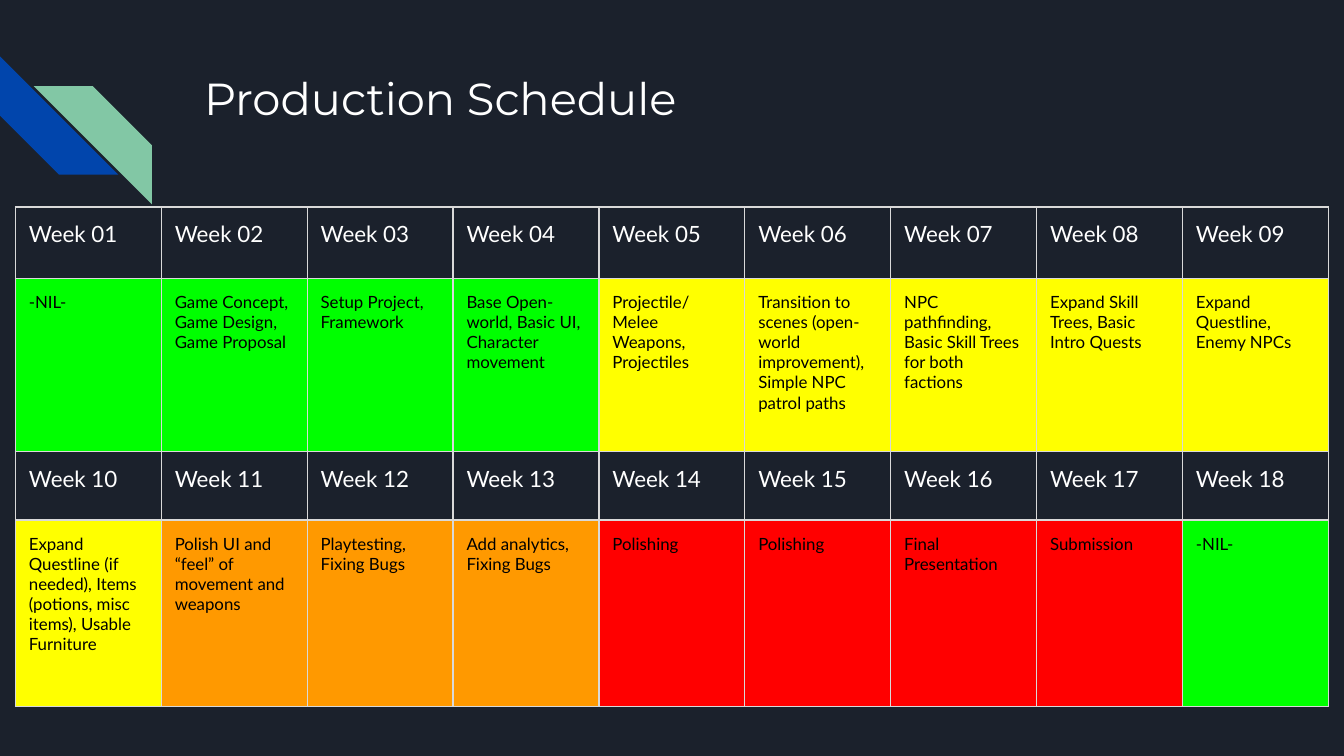
from dataclasses import dataclass

from lxml import etree
from pptx import Presentation, util as u
from pptx.dml.color import RGBColor
from pptx.enum import shapes, text
from pptx.oxml.ns import qn


@dataclass(frozen=True)
class Theme:
    background: str = "1B212C"
    blue: str = "0145AC"
    mint: str = "82C7A5"
    light: str = "FFFFFF"
    dark: str = "000000"
    border: str = "D9D9D9"
    border_width: float = 0.75
    title_font: str = "Montserrat"
    body_font: str = "Lato"
    title_size: int = 24
    week_size: int = 12
    task_size: int = 9
    inset: float = 0.1


THEME = Theme()
GREEN, YELLOW, ORANGE, RED = "00FF00", "FFFF00", "FF9900", "FF0000"

# One (task, status colour) pair for each week
SCHEDULE = [
    ("-NIL-", GREEN),
    ("Game Concept, Game Design, Game Proposal", GREEN),
    ("Setup Project, Framework", GREEN),
    ("Base Open-world, Basic UI, Character movement", GREEN),
    ("Projectile/ Melee Weapons, Projectiles", YELLOW),
    ("Transition to scenes (open-world improvement), Simple NPC patrol paths", YELLOW),
    ("NPC pathfinding, Basic Skill Trees for both factions", YELLOW),
    ("Expand Skill Trees, Basic Intro Quests", YELLOW),
    ("Expand Questline, Enemy NPCs", YELLOW),
    ("Expand Questline (if needed), Items (potions, misc items), Usable Furniture", YELLOW),
    ("Polish UI and “feel” of movement and weapons", ORANGE),
    ("Playtesting, Fixing Bugs", ORANGE),
    ("Add analytics, Fixing Bugs", ORANGE),
    ("Polishing", RED),
    ("Polishing", RED),
    ("Final Presentation", RED),
    ("Submission", RED),
    ("-NIL-", GREEN),
]
WEEKS_PER_ROW = 9
ROW_HEIGHTS = (0.53, 1.29, 0.51, 1.39)
PAGE_WIDTH = 10
TABLE_WIDTH = 9.77


def write(frame, words, *, font, size, color):
    """Put one formatted paragraph in a text frame."""
    frame.word_wrap = True
    frame.vertical_anchor = text.MSO_ANCHOR.TOP
    para = frame.paragraphs[0]
    para.alignment = text.PP_ALIGN.LEFT
    span = para.add_run()
    span.text = words
    span.font.name = font
    span.font.size = u.Pt(size)
    span.font.bold = False
    span.font.color.rgb = RGBColor.from_string(color)


def set_insets(holder):
    for side in ("left", "top", "right", "bottom"):
        setattr(holder, f"margin_{side}", u.Inches(THEME.inset))


def add_borders(cell):
    properties = cell._tc.get_or_add_tcPr()
    for edge in ("lnL", "lnR", "lnT", "lnB"):
        line = etree.SubElement(properties, qn(f"a:{edge}"),
                                w=str(u.Pt(THEME.border_width)))
        fill = etree.SubElement(line, qn("a:solidFill"))
        etree.SubElement(fill, qn("a:srgbClr"), val=THEME.border)


def fill_cell(cell, words, *, size, color, fill=None):
    set_insets(cell)
    add_borders(cell)
    if fill:
        cell.fill.solid()
        cell.fill.fore_color.rgb = RGBColor.from_string(fill)
    else:
        cell.fill.background()
    write(cell.text_frame, words, font=THEME.body_font, size=size, color=color)


def add_stripes(page, left, top, size):
    """Two interlocking diagonal stripes."""
    stripes = ((0, 0, 270, THEME.blue), (0.25, 0.22, 90, THEME.mint))
    for dx, dy, rotation, color in stripes:
        stripe = page.shapes.add_shape(
            shapes.MSO_SHAPE.DIAGONAL_STRIPE, u.Inches(left + dx),
            u.Inches(top + dy), u.Inches(size), u.Inches(size))
        stripe.adjustments[0] = 0.5
        stripe.rotation = rotation
        stripe.shadow.inherit = False
        stripe.fill.solid()
        stripe.fill.fore_color.rgb = RGBColor.from_string(color)
        stripe.line.fill.background()


def add_title(page, left, top, width, height):
    box = page.shapes.add_textbox(*map(u.Inches, (left, top, width, height)))
    set_insets(box.text_frame)
    write(box.text_frame, "Production Schedule", font=THEME.title_font,
          size=THEME.title_size, color=THEME.light)


def add_schedule(page, left, top, width):
    """Week names alternate with rows of tasks coloured by status."""
    table = page.shapes.add_table(
        len(ROW_HEIGHTS), WEEKS_PER_ROW, u.Inches(left), u.Inches(top),
        u.Inches(width), u.Inches(sum(ROW_HEIGHTS))).table
    table.first_row = table.horz_banding = False
    for row, height in zip(table.rows, ROW_HEIGHTS):
        row.height = u.Inches(height)
    for column in table.columns:
        column.width = u.Inches(width / WEEKS_PER_ROW)
    for index, (task, status) in enumerate(SCHEDULE):
        band, column = divmod(index, WEEKS_PER_ROW)
        fill_cell(table.cell(2 * band, column), f"Week {index + 1:02}",
                  size=THEME.week_size, color=THEME.light)
        fill_cell(table.cell(2 * band + 1, column), task,
                  size=THEME.task_size, color=THEME.dark, fill=status)


def main():
    deck = Presentation()
    # Widescreen page, 16:9
    deck.slide_width = u.Inches(PAGE_WIDTH)
    deck.slide_height = u.Inches(PAGE_WIDTH * 9 / 16)
    page = deck.slides.add_slide(deck.slide_layouts[6])
    page.background.fill.solid()
    page.background.fill.fore_color.rgb = RGBColor.from_string(THEME.background)

    add_stripes(page, 0, 0.42, 0.88)
    add_title(page, 1.42, 0.43, 7.7, 1)
    add_schedule(page, (PAGE_WIDTH - TABLE_WIDTH) / 2, 1.54, TABLE_WIDTH)
    deck.save("out.pptx")


if __name__ == "__main__":
    main()
